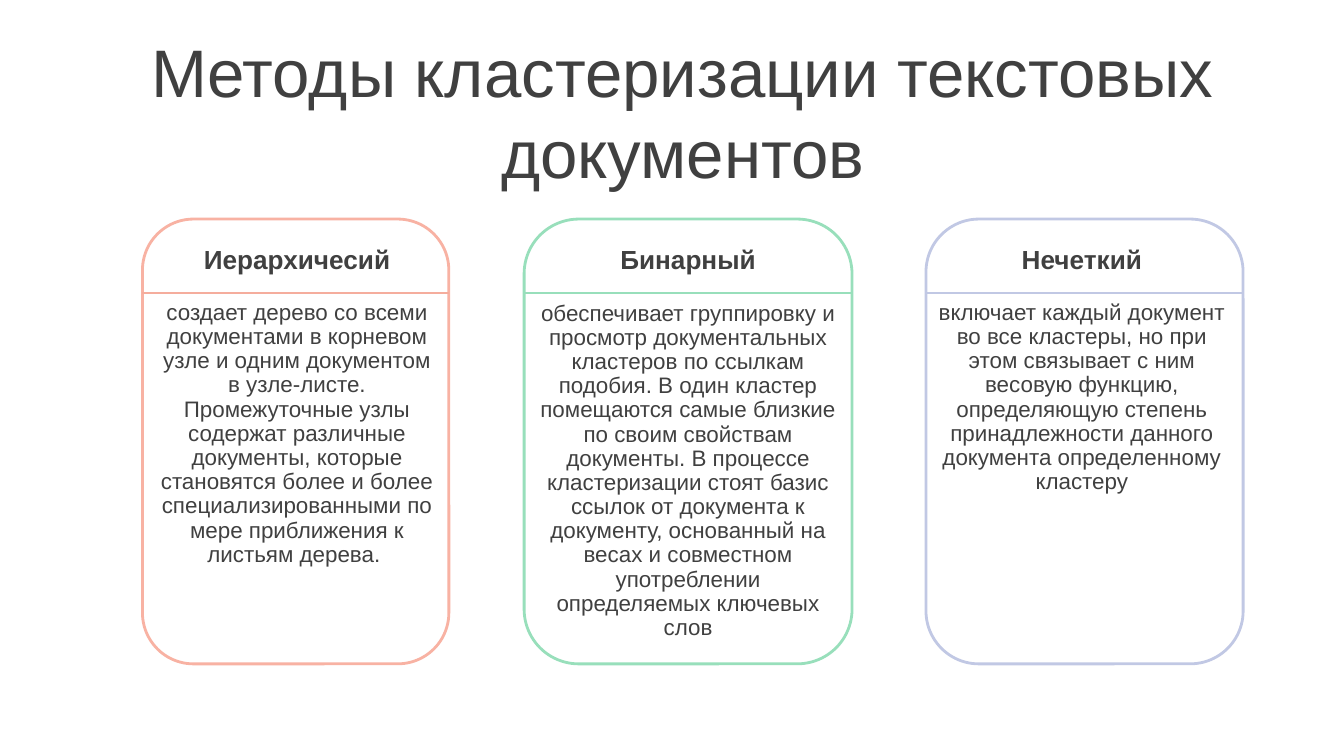
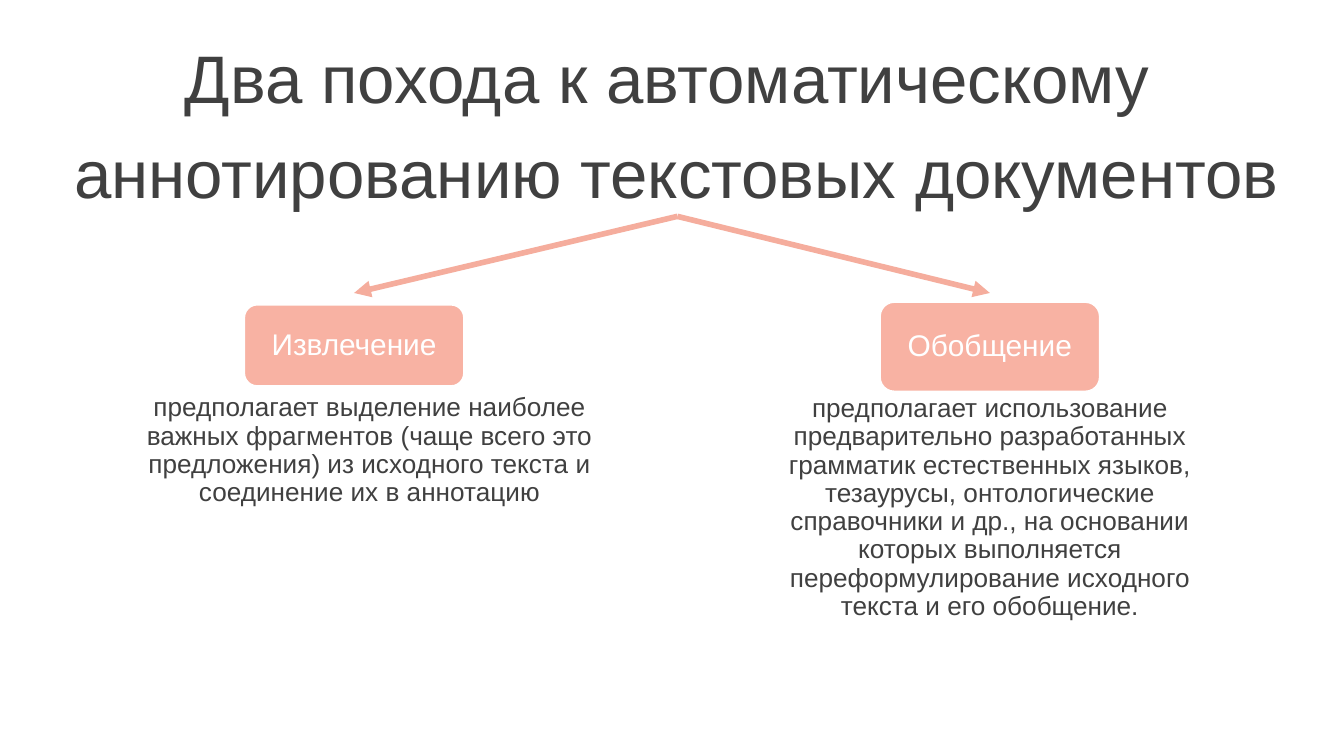
import pptx
import pptx.util
import pptx.dml.color
import pptx.enum.shapes
import pptx.enum.text
import pptx.oxml

Inches = pptx.util.Inches
Pt = pptx.util.Pt
SHAPES = pptx.enum.shapes.MSO_SHAPE

FONT = "Arial"
COLORS = {
    "text": "404040",
    "white": "FFFFFF",
    "coral": "F8B2A3",
    "coral_dark": "F5AD9D",
    "green": "98DFBB",
    "lavender": "C1C8E4",
}
DRAWING = 'xmlns:a="http://schemas.openxmlformats.org/drawingml/2006/main"'
TITLE_ONLY = 5

METHODS = [
    # left, width, text shift, text height, outline, divider, name, description
    (1.06, 2.28, 0.01, 2.1, "coral", "coral_dark", "Иерархичесий",
     "создает дерево со всеми документами в корневом узле и одним документом "
     "в узле-листе. Промежуточные узлы содержат различные документы, которые "
     "становятся более и более специализированными по мере приближения к "
     "листьям дерева. "),
    (3.9, 2.44, 0, 2.65, "green", "green", "Бинарный",
     "обеспечивает группировку и просмотр документальных кластеров по ссылкам "
     "подобия. В один кластер помещаются самые близкие по своим свойствам "
     "документы. В процессе кластеризации стоят базис ссылок от документа к "
     "документу, основанный на весах и совместном употреблении определяемых "
     "ключевых слов"),
    (6.89, 2.36, -0.02, 1.56, "lavender", "lavender", "Нечеткий",
     "включает каждый документ во все кластеры, но при этом связывает с ним "
     "весовую функцию, определяющую степень принадлежности данного документа "
     "определенному кластеру"),
]

APPROACHES = [
    # label box, description box, name, description
    ((1.81, 2.26, 1.65, 0.62), (0.98, 2.88, 3.54, 0.95), "Извлечение",
     "предполагает выделение наиболее важных фрагментов (чаще всего это "
     "предложения) из исходного текста и соединение их в аннотацию"),
    ((6.54, 2.24, 1.65, 0.68), (5.64, 2.88, 3.45, 1.8), "Обобщение",
     "предполагает использование предварительно разработанных грамматик "
     "естественных языков, тезаурусы, онтологические справочники и др., на "
     "основании которых выполняется переформулирование исходного текста и его "
     "обобщение."),
]


def rgb(name):
    return pptx.dml.color.RGBColor.from_string(COLORS[name])


def inches(box):
    return [Inches(length) for length in box]


def write(shape, text, size, color="text", bold=False,
          line_spacing=0.9, before=0, after=6):
    frame = shape.text_frame
    frame.text = text
    frame.word_wrap = True
    frame.auto_size = pptx.enum.text.MSO_AUTO_SIZE.NONE
    frame.vertical_anchor = pptx.enum.text.MSO_ANCHOR.MIDDLE
    for para in frame.paragraphs:
        para.alignment = pptx.enum.text.PP_ALIGN.CENTER
        para.line_spacing = line_spacing
        para.space_before = Pt(before)
        para.space_after = Pt(after)
        for span in para.runs:
            span.font.name = FONT
            span.font.size = Pt(size)
            span.font.bold = bold
            span.font.color.rgb = rgb(color)


def add_page(deck, title, box):
    page = deck.slides.add_slide(deck.slide_layouts[TITLE_ONLY])
    heading = page.shapes.title
    heading.left, heading.top, heading.width, heading.height = inches(box)
    write(heading, title, 36, line_spacing=1.0, before=8, after=0)
    return page


def add_text(page, box, text, size, bold=False):
    write(page.shapes.add_textbox(*inches(box)), text, size, bold=bold)


def add_rounded_box(page, box, line, line_width, fill=None):
    shape = page.shapes.add_shape(SHAPES.ROUNDED_RECTANGLE, *inches(box))
    shape.shadow.inherit = False
    if fill:
        shape.fill.solid()
        shape.fill.fore_color.rgb = rgb(fill)
    else:
        shape.fill.background()
    shape.line.color.rgb = rgb(line)
    shape.line.width = Pt(line_width)
    return shape


def add_line(page, start, end, color, width, arrow=False):
    line = page.shapes.add_connector(
        pptx.enum.shapes.MSO_CONNECTOR.STRAIGHT, *inches(start + end))
    line.line.color.rgb = rgb(color)
    line.line.width = Pt(width)
    if arrow:
        line.line._get_or_add_ln().append(
            pptx.oxml.parse_xml(f'<a:tailEnd {DRAWING} type="triangle"/>'))
    line._element.spPr.append(pptx.oxml.parse_xml(f"<a:effectLst {DRAWING}/>"))


def add_method_card(page, box, text_shift, text_height, outline, divider,
                    name, description):
    left, top, width, height = box
    text_left = left + text_shift
    divider_top = top + 0.55
    add_rounded_box(page, box, outline, 1.5)
    add_text(page, (text_left, top + 0.16, width, 0.31), name, 14, bold=True)
    add_line(page, (left, divider_top), (left + width, divider_top), divider, 1.5)
    add_text(page, (text_left, divider_top, width, text_height), description, 12)


def add_approach(page, root, label_box, text_box, name, description):
    """Add an arrow from the root, the label it points at and the text below."""
    left, _, width, _ = label_box
    add_line(page, root, (left + width / 2, 2.18), "coral_dark", 3, arrow=True)
    label = add_rounded_box(page, label_box, "white", 2, fill="coral")
    write(label, name, 16, color="white", after=0)
    add_text(page, text_box, description, 14)


def build_methods(deck):
    page = add_page(deck, "Методы кластеризации текстовых документов",
                    (0.91, 0.51, 8.34, 0.63))
    for left, width, *content in METHODS:
        add_method_card(page, (left, 1.63, width, 3.31), *content)


def build_approaches(deck):
    page = add_page(
        deck,
        "Два похода к автоматическому\n аннотированию текстовых документов",
        (0.28, 0.21, 9.37, 1.43))
    for approach in APPROACHES:
        add_approach(page, (5.04, 1.61), *approach)


def main():
    deck = pptx.Presentation()
    deck.slide_width = Inches(10)
    deck.slide_height = Inches(10 * 9 / 16)
    build_methods(deck)
    build_approaches(deck)
    deck.save("out.pptx")


if __name__ == "__main__":
    main()
